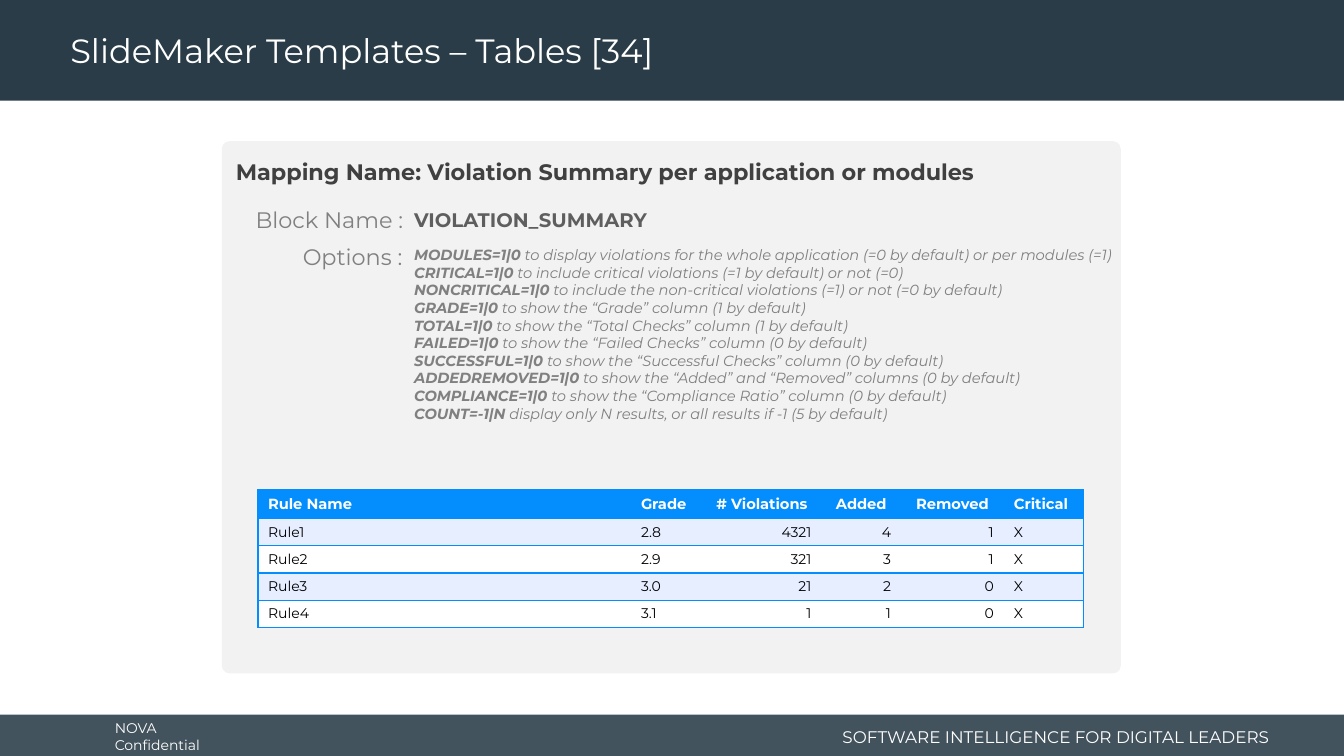
import pptx
import pptx.util
import pptx.dml.color
import pptx.enum.shapes
import pptx.enum.text
import pptx.oxml
import pptx.oxml.ns

Pt = pptx.util.Pt
RGBColor = pptx.dml.color.RGBColor
Align = pptx.enum.text.PP_ALIGN
Anchor = pptx.enum.text.MSO_ANCHOR
Shape = pptx.enum.shapes.MSO_SHAPE

FONT = "Montserrat"
NAVY = RGBColor(0x29, 0x3C, 0x47)
WHITE = RGBColor(0xFF, 0xFF, 0xFF)
BLACK = RGBColor(0x00, 0x00, 0x00)
PALE = RGBColor(0xF2, 0xF2, 0xF2)
DARK = RGBColor(0x40, 0x40, 0x40)
SLATE = RGBColor(0x5E, 0x5E, 0x5E)
GRAY = RGBColor(0x80, 0x80, 0x80)
BLUE = RGBColor(0x04, 0x8E, 0xFD)
TINT = RGBColor(0xE7, 0xEE, 0xFF)

OPTIONS = """MODULES=1|0 to display violations for the whole application (=0 by default) or per modules (=1)
CRITICAL=1|0 to include critical violations (=1 by default) or not (=0)
NONCRITICAL=1|0 to include the non-critical violations (=1) or not (=0 by default)
GRADE=1|0 to show the “Grade” column (1 by default)
TOTAL=1|0 to show the “Total Checks” column (1 by default)
FAILED=1|0 to show the “Failed Checks” column (0 by default)
SUCCESSFUL=1|0 to show the “Successful Checks” column (0 by default)
ADDEDREMOVED=1|0 to show the “Added” and “Removed” columns (0 by default)
COMPLIANCE=1|0 to show the “Compliance Ratio” column (0 by default)
COUNT=-1|N display only N results, or all results if -1 (5 by default)"""

HEADS = ("Rule Name", "Grade", "# Violations", "Added", "Removed", "Critical")
RULES = (
    ("Rule1", "2.8", "4321", "4", "1", "X"),
    ("Rule2", "2.9", "321", "3", "1", "X"),
    ("Rule3", "3.0", "21", "2", "0", "X"),
    ("Rule4", "3.1", "1", "1", "0", "X"),
)
WIDTHS = (266.4, 51.1, 85, 56.9, 73.4, 56.9)


def write(frame, text, size=10, color=GRAY, bold=False, italic=False,
          align=Align.LEFT, space=None, lead=False):
    """Fill a text frame; lead sets the first word of each line in bold."""
    for i, line in enumerate(text.split("\n")):
        para = frame.paragraphs[0] if i == 0 else frame.add_paragraph()
        para.alignment = align
        if space:
            para.line_spacing = space
        parts = [(line, bold)]
        if lead:
            key, gap, rest = line.partition(" ")
            parts = [(key, True), (gap + rest, False)]
        for part, heavy in parts:
            run = para.add_run()
            run.text = part
            font = run.font
            font.name, font.size = FONT, Pt(size)
            font.bold, font.italic = heavy, italic
            font.color.rgb = color


def label(slide, box, text, wrap=True, anchor=Anchor.TOP, inset=7.2, **style):
    """Add a text box."""
    frame = slide.shapes.add_textbox(*map(Pt, box)).text_frame
    frame.word_wrap = wrap
    frame.vertical_anchor = anchor
    frame.margin_left = frame.margin_right = Pt(inset)
    write(frame, text, **style)


def block(slide, box, color, kind=Shape.RECTANGLE):
    """Add a plain filled shape."""
    shape = slide.shapes.add_shape(kind, *map(Pt, box))
    shape.shadow.inherit = False
    shape.fill.solid()
    shape.fill.fore_color.rgb = color
    shape.line.fill.background()
    return shape


def header(slide, box, text):
    """Draw the title band."""
    x, y, w, h = box
    block(slide, box, NAVY)
    label(slide, (x + 43.2, y + 2.9, 690, h - 2.9), text, size=24,
          color=WHITE, anchor=Anchor.MIDDLE, space=0.9)


def footer(slide, box, left, right):
    """Draw the bottom band with its two texts."""
    x, y, w, h = box
    band = block(slide, box, NAVY)
    tone = band.fill._xPr.find(".//" + pptx.oxml.ns.qn("a:srgbClr"))
    tone.append(pptx.oxml.parse_xml(
        f'<a:alpha {pptx.oxml.ns.nsdecls("a")} val="88000"/>'))
    label(slide, (x + 74.9, y + 1.4, 106.6, 28.8), left, wrap=False,
          color=WHITE, anchor=Anchor.MIDDLE)
    label(slide, (x + w - 376, y + 4.3, 329.8, 23), right, size=12,
          color=WHITE, anchor=Anchor.MIDDLE, align=Align.RIGHT)


def edge(cell, sides):
    """Line the given sides of a cell and clear the others."""
    props = cell._tc.get_or_add_tcPr()
    for i, side in enumerate("LRTB"):
        paint = "<a:noFill/>"
        if side in sides:
            paint = f'<a:solidFill><a:srgbClr val="{BLUE}"/></a:solidFill>'
        props.insert(i, pptx.oxml.parse_xml(
            f'<a:ln{side} {pptx.oxml.ns.nsdecls("a")} w="12700">'
            f'{paint}</a:ln{side}>'))


def grid(slide, box):
    """Draw the table of rules."""
    rows = (HEADS,) + RULES
    last = len(HEADS) - 1
    table = slide.shapes.add_table(len(rows), len(HEADS), *map(Pt, box)).table
    for col, width in zip(table.columns, WIDTHS):
        col.width = Pt(width)
    for r, row in enumerate(rows):
        head = r == 0
        table.rows[r].height = Pt(20.6 if head else 19.4)
        for c, text in enumerate(row):
            cell = table.cell(r, c)
            cell.fill.solid()
            cell.fill.fore_color.rgb = BLUE if head else TINT if r % 2 else WHITE
            edge(cell, "TB" + "L" * (c == 0) + "R" * (c == last))
            cell.vertical_anchor = Anchor.TOP if head else Anchor.MIDDLE
            align = Align.LEFT
            if 2 <= c < last:
                align = Align.CENTER if head else Align.RIGHT
            write(cell.text_frame, text, size=10.5 if head else 10, bold=head,
                  color=WHITE if head else BLACK, align=align)


def panel(slide, box):
    """Draw the card that describes the block, with its table."""
    x, y, w, h = box
    card = block(slide, box, PALE, Shape.ROUNDED_RECTANGLE)
    card.adjustments[0] = 0.015
    label(slide, (x - 4.3, y + 8.6, w, 26.6),
          "Mapping Name: Violation Summary per application or modules",
          inset=14.4, size=16, color=DARK, bold=True)
    label(slide, (x + 130.3, y + 43.9, 510, 24.5), "VIOLATION_SUMMARY",
          size=14, color=SLATE, bold=True)
    label(slide, (x + 16.6, y + 43.2, 120.2, 26.6), "Block Name :",
          wrap=False, size=16, align=Align.RIGHT)
    label(slide, (x + 130.3, y + 71.3, 516, 146.9), OPTIONS,
          size=10.5, italic=True, lead=True)
    label(slide, (x + 49, y + 69.1, 87.1, 26.6), "Options :",
          wrap=False, size=16, align=Align.RIGHT)
    grid(slide, (x + 25.9, y + 249.1, sum(WIDTHS), 98.2))


def main():
    """Build the slide and save it."""
    deck = pptx.Presentation()
    deck.slide_width, deck.slide_height = Pt(960), Pt(540)
    slide = deck.slides.add_slide(deck.slide_layouts[6])
    footer(slide, (0, 510.5, 960, 29.5), "NOVA Confidential",
           "SOFTWARE INTELLIGENCE FOR DIGITAL LEADERS")
    header(slide, (0, 0, 960, 72), "SlideMaker Templates – Tables [34]")
    panel(slide, (158.4, 100.8, 642.2, 380.2))
    deck.save("out.pptx")


if __name__ == "__main__":
    main()
